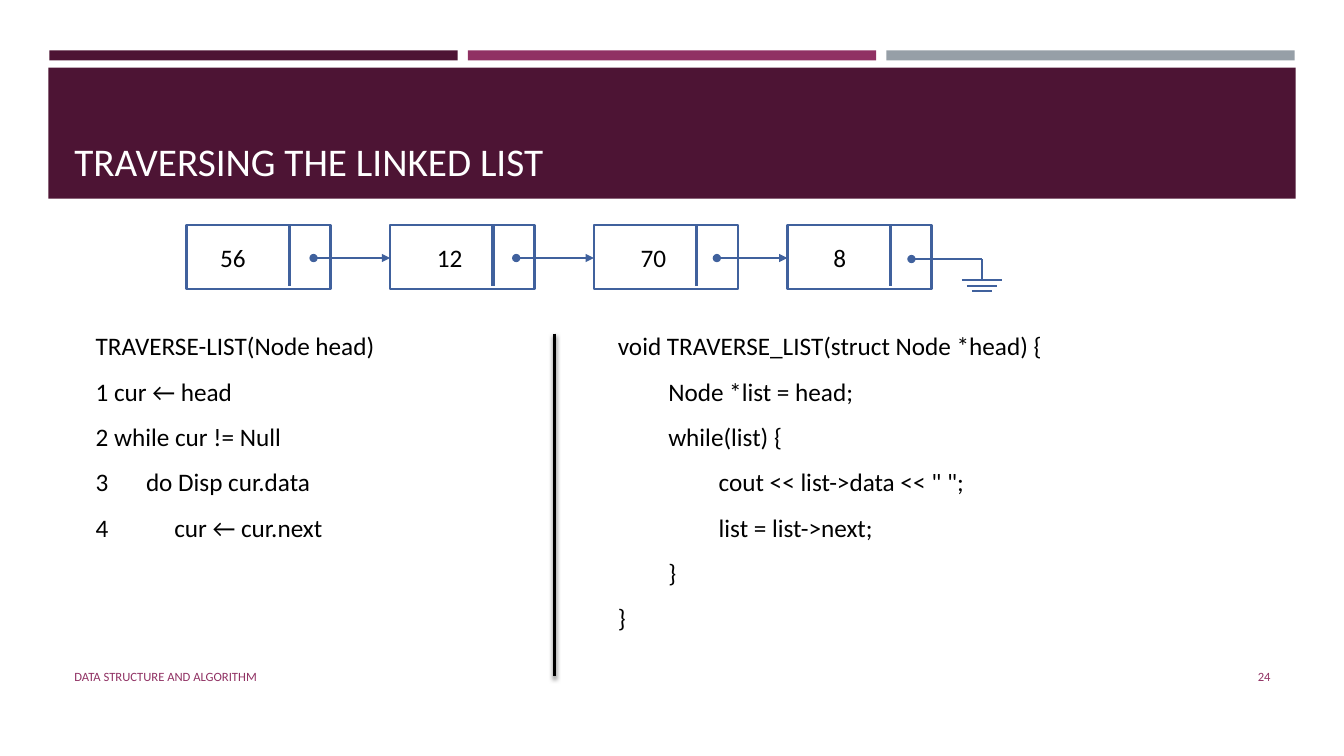
from lxml import etree
from pptx import Presentation, util as u
from pptx.dml.color import RGBColor
from pptx.enum import shapes, text
from pptx.oxml.ns import qn

PX = 9144  # EMU; 100 px to the inch
FONT = "Calibri"
COLORS = {
    "plum": "4D1434", "magenta": "903163", "gray": "969FA7",
    "blue": "40619D", "white": "FFFFFF", "black": "000000",
}
PSEUDOCODE = [  # text, indent in px
    ("TRAVERSE-LIST(Node head)", 0),
    ("1 cur ← head", 0),
    ("2 while cur != Null", 0),
    ("3\tdo Disp cur.data", 50),
    ("4\tcur ← cur.next", 78),
]
CODE = [
    ("void TRAVERSE_LIST(struct Node *head) {", 0),
    ("Node *list = head;", 50),
    ("while(list) {", 50),
    ('cout << list->data << " ";', 100),
    ("list = list->next;", 100),
    ("}", 50),
    ("}", 0),
]
NODES = [  # left, value, centre of the value, start of the pointer
    (185, "56", 46, 126), (387, "12", 59, 125),
    (589, "70", 59, 122), (781, "8", 52, 123),
]


def px(*lengths):
    return [u.Emu(round(length * PX)) for length in lengths]


def rgb(name):
    return RGBColor.from_string(COLORS[name])


def add_rect(slide, box, fill, line=None, width=1.75):
    rect = slide.shapes.add_shape(shapes.MSO_SHAPE.RECTANGLE, *px(*box))
    rect.shadow.inherit = False
    rect.fill.solid()
    rect.fill.fore_color.rgb = rgb(fill)
    if line:
        rect.line.color.rgb = rgb(line)
        rect.line.width = u.Pt(width)
    else:
        rect.line.fill.background()
    return rect


def add_line(slide, start, end, color="blue", width=1.5, head=None, tail=None):
    """Draw a straight line and return its empty effect list."""
    line = slide.shapes.add_connector(
        shapes.MSO_CONNECTOR.STRAIGHT, *px(*start, *end))
    line.line.color.rgb = rgb(color)
    line.line.width = u.Pt(width)
    outline = line.line._get_or_add_ln()
    for tag, kind in (("a:headEnd", head), ("a:tailEnd", tail)):
        if kind:
            etree.SubElement(outline, qn(tag), type=kind)
    return etree.SubElement(line._element.spPr, qn("a:effectLst"))


def write(shape, lines, size=18, color="black", align="LEFT", anchor="MIDDLE",
          spacing=1.0, insets=(10, 5, 10, 5)):
    """Fill a shape with (text, indent) lines; a tab makes the indent hang."""
    frame = shape.text_frame
    frame.word_wrap = True
    frame.vertical_anchor = text.MSO_ANCHOR[anchor]
    (frame.margin_left, frame.margin_top,
     frame.margin_right, frame.margin_bottom) = px(*insets)
    for number, (words, indent) in enumerate(lines):
        paragraph = frame.add_paragraph() if number else frame.paragraphs[0]
        if indent:
            properties = paragraph._p.get_or_add_pPr()
            properties.set("marL", str(indent * PX))
            properties.set("indent", str(-indent * PX if "\t" in words else 0))
        paragraph.alignment = text.PP_ALIGN[align]
        paragraph.line_spacing = spacing
        run = paragraph.add_run()
        run.text = words
        run.font.name = FONT
        run.font.size = u.Pt(size)
        run.font.color.rgb = rgb(color)


def add_text(slide, box, lines, **style):
    write(slide.shapes.add_textbox(*px(*box)), lines, **style)


def add_header(slide, left, top, width):
    for column, color in enumerate(("plum", "magenta", "gray")):
        add_rect(slide, (left + 1 + column * 415, top, 405, 10), color)
    add_rect(slide, (left, top + 17, width, 130), "plum")
    add_text(slide, (left + 16, top + 27, width - 31, 111),
             [("TRAVERSING THE LINKED LIST", 0)],
             size=28, color="white", anchor="BOTTOM")


def add_node(slide, left, top, value, centre):
    width, height = 143, 64
    node = add_rect(slide, (left, top, width, height), "white", "blue")
    write(node, [(value, 0)], align="CENTER",
          insets=(0, 5, width - 2 * centre, 5))
    split = left + 102
    add_line(slide, (split, top + 1), (split, top + 61), width=2.25)


def add_ground(slide, x, y):
    add_line(slide, (x, y), (x, y + 21))
    for step, half in enumerate((20, 15, 10)):
        bar = y + 21 + step * 5.5
        add_line(slide, (x - half, bar), (x + half, bar))


def add_linked_list(slide, top):
    for left, value, centre, _ in NODES:
        add_node(slide, left, top, value, centre)
    pointer = top + 33
    for (left, _, _, start), following in zip(NODES, NODES[1:]):
        add_line(slide, (left + start, pointer), (following[0], pointer),
                 head="oval", tail="triangle")
    last_left, _, _, start = NODES[-1]
    ground = last_left + 193
    add_line(slide, (last_left + start, pointer + 1), (ground, pointer + 1),
             head="oval")
    add_ground(slide, ground, pointer + 1)


def add_listings(slide, top):
    add_text(slide, (85, top, 372, 237), PSEUDOCODE, anchor="TOP", spacing=1.5)
    add_text(slide, (603, top, 667, 323), CODE, anchor="TOP", spacing=1.5)
    effects = add_line(slide, (550, top + 23), (550, top + 363), "black", 2)
    shadow = etree.SubElement(
        effects, qn("a:outerShdw"), blurRad=str(u.Pt(3)), dist=str(u.Pt(2)),
        dir="5400000", rotWithShape="0")
    tint = etree.SubElement(shadow, qn("a:srgbClr"), val=COLORS["black"])
    etree.SubElement(tint, qn("a:alpha"), val="55000")


def add_footer(slide, top):
    add_text(slide, (64, top, 756, 40), [("DATA STRUCTURE AND ALGORITHM", 0)],
             size=9, color="magenta")
    add_text(slide, (1155, top, 115, 40), [("24", 0)],
             size=9, color="magenta", align="RIGHT")


def main():
    deck = Presentation()
    deck.slide_width, deck.slide_height = px(1333, 750)
    slide = deck.slides.add_slide(deck.slide_layouts[6])
    add_header(slide, 48, 50, 1237)
    add_footer(slide, 651)
    add_listings(slide, 308)
    add_linked_list(slide, 223)
    deck.save("out.pptx")


if __name__ == "__main__":
    main()
